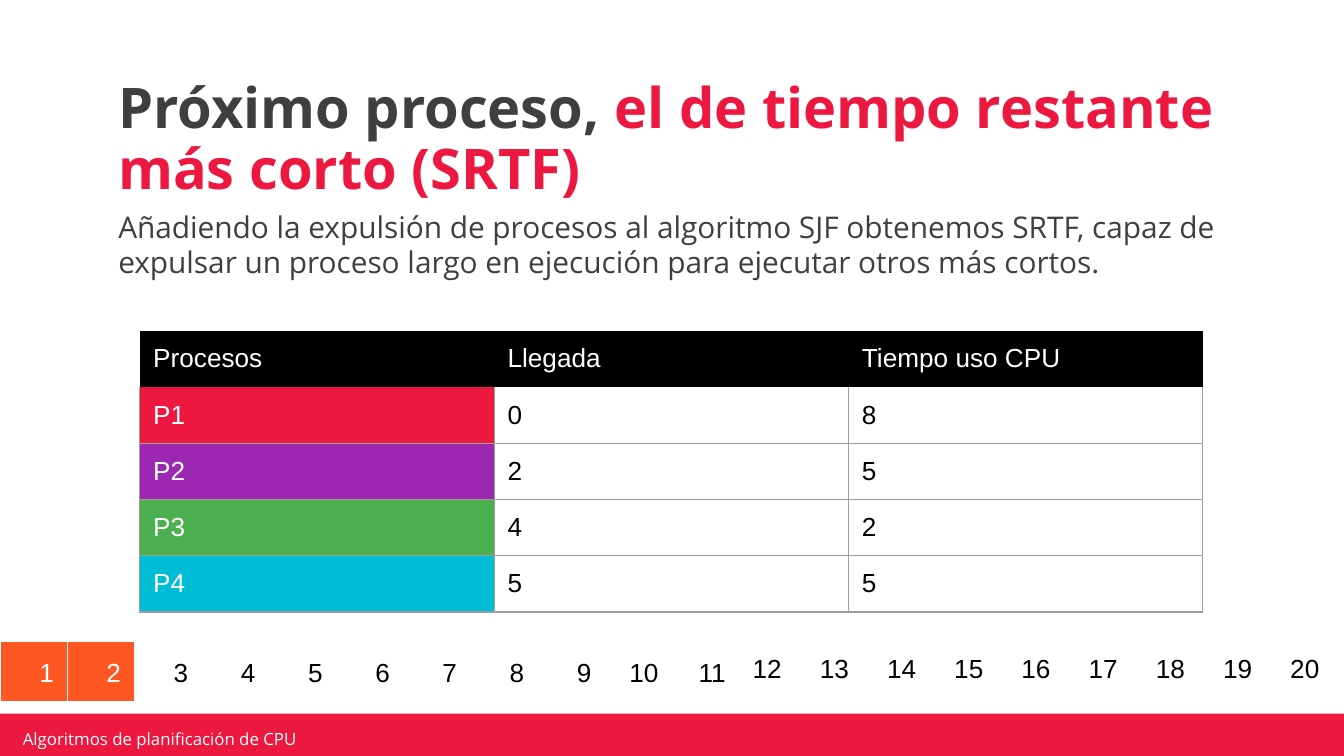
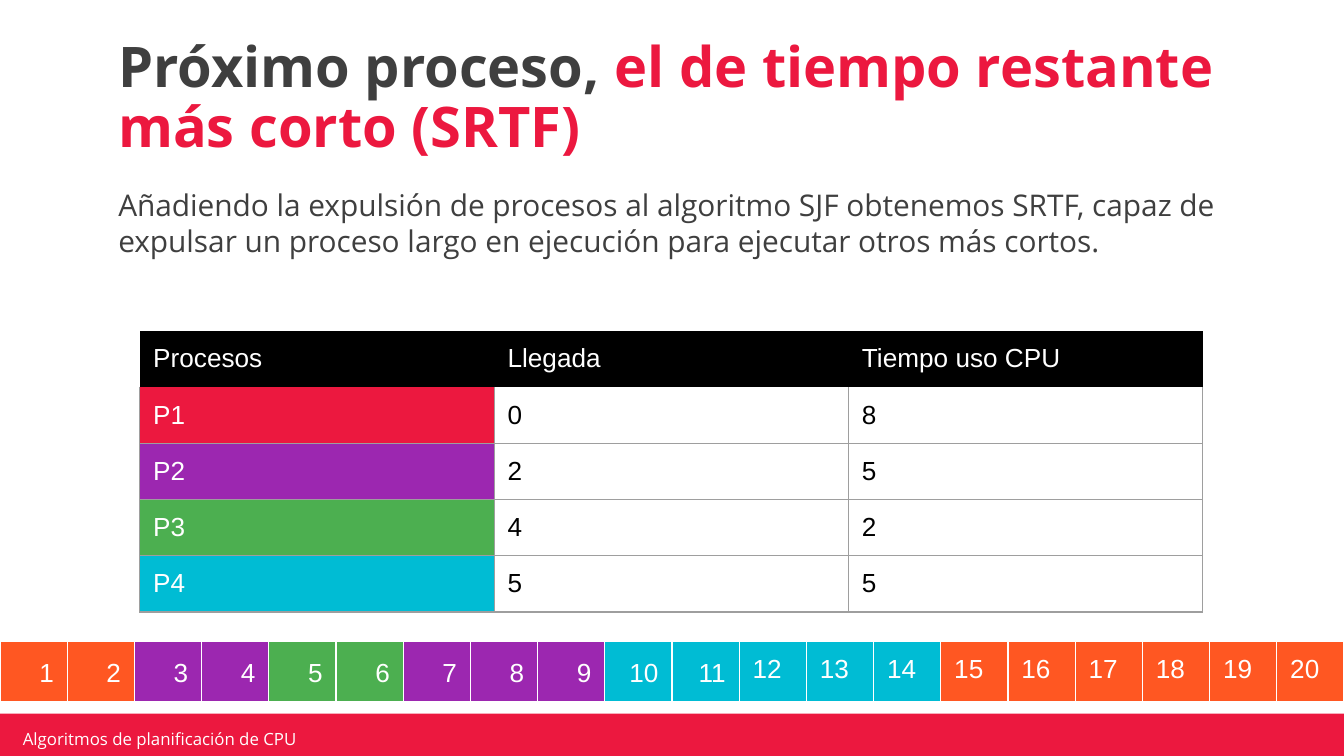
from lxml import etree
from pptx import Presentation
from pptx.dml.color import RGBColor
from pptx.enum.shapes import MSO_SHAPE
from pptx.enum.text import MSO_ANCHOR, MSO_AUTO_SIZE, PP_ALIGN
from pptx.oxml.ns import qn
from pptx.util import Inches, Pt

RECTANGLE = MSO_SHAPE.RECTANGLE
TOP, MIDDLE, BOTTOM = MSO_ANCHOR.TOP, MSO_ANCHOR.MIDDLE, MSO_ANCHOR.BOTTOM
LEFT, RIGHT = PP_ALIGN.LEFT, PP_ALIGN.RIGHT
NO_AUTOFIT = MSO_AUTO_SIZE.NONE

SLIDE_WIDTH = 10
SLIDE_HEIGHT = SLIDE_WIDTH * 9 / 16
COLOURS = {
    "red": "EC183F", "purple": "9C27B0", "green": "4CAF50", "cyan": "00BCD4",
    "orange": "FF5722", "dark": "3F3F3F", "grey": "9E9E9E",
    "black": "000000", "white": "FFFFFF",
}
TITLE_FONT = {"name": "Open Sans", "size": Pt(30), "bold": True}
BODY_FONT = {"name": "Open Sans", "size": Pt(16)}
FOOTER_FONT = {"name": "Open Sans", "size": Pt(9)}
TABLE_FONT = {"name": "Arial", "size": Pt(14), "bold": False}

FOOTER = "Algoritmos de planificación de CPU"
TITLE = [("Próximo proceso, ", "dark"),
         ("el de tiempo restante más corto (SRTF)", "red")]
BODY = [("Añadiendo la expulsión de procesos al algoritmo SJF obtenemos SRTF, "
         "capaz de expulsar un proceso largo en ejecución para ejecutar otros "
         "más cortos. ", "dark")]
HEADINGS = ["Procesos", "Llegada", "Tiempo uso CPU"]
PROCESSES = [("P1", 0, 8, "red"), ("P2", 2, 5, "purple"),
             ("P3", 4, 2, "green"), ("P4", 5, 5, "cyan")]
TICKS = 20
RIGHT_ALIGNED_TICKS = 11
PROCESS_BOX = (1.04, 2.46, 7.91, 2.09)
TIMELINE_BOX = (0, 4.77, SLIDE_WIDTH, 0.21)

# Each slide: title box, body box, and the runs of the timeline (colour, ticks).
SLIDES = [
    ((0.78, 0.68, 8.43, 0.92), (0.78, 1.45, 8.43, 0.92),
     [("orange", 2), ("white", 18)]),
    ((0.78, 0.6, 8.43, 0.69), (0.78, 1.29, 8.43, 1.53),
     [("orange", 2), ("purple", 2), ("green", 2), ("purple", 3),
      ("cyan", 5), ("orange", 6)]),
]


def rgb(colour):
    """Return the named colour."""
    return RGBColor.from_string(COLOURS[colour])


def set_values(target, values):
    """Set several attributes of an object."""
    for name, value in values.items():
        setattr(target, name, value)


def place(shape, box):
    """Move a shape to a box given in inches."""
    names = ("left", "top", "width", "height")
    set_values(shape, dict(zip(names, map(Inches, box))))


def set_margins(target, horizontal, vertical):
    """Set the inner margins of a text frame or a cell, in inches."""
    for side, size in (("left", horizontal), ("right", horizontal),
                       ("top", vertical), ("bottom", vertical)):
        setattr(target, f"margin_{side}", Inches(size))


def write(paragraph, runs, font, **paragraph_values):
    """Add (text, colour) runs to a paragraph and format it."""
    set_values(paragraph, paragraph_values)
    for text, colour in runs:
        run = paragraph.add_run()
        run.text = text
        set_values(run.font, font)
        run.font.color.rgb = rgb(colour)


def add_footer(slide, layout):
    """Draw the footer band and its label, then hand them to the layout."""
    band = slide.shapes.add_shape(RECTANGLE, 0, 0, 0, 0)
    place(band, (-0.02, 5.31, 10.03, 0.36))
    band.shadow.inherit = False
    band.fill.solid()
    band.fill.fore_color.rgb = rgb("red")
    band.line.fill.background()
    label = slide.shapes.add_textbox(0, 0, 0, 0)
    place(label, (0.12, 5.42, 2.39, 0.15))
    set_values(label.text_frame, {"word_wrap": True, "vertical_anchor": MIDDLE})
    set_margins(label.text_frame, 0.05, 0.02)
    write(label.text_frame.paragraphs[0], [(FOOTER, "white")], FOOTER_FONT)
    for shape in (band, label):
        layout.shapes.element.append(shape.element)


def fill_placeholder(shape, box, runs, font, anchor, **paragraph_values):
    """Place a placeholder and write one unbulleted paragraph in it."""
    place(shape, box)
    frame = shape.text_frame
    set_values(frame, {"word_wrap": True, "auto_size": NO_AUTOFIT,
                       "vertical_anchor": anchor})
    set_margins(frame, 0.1, 0.1)
    paragraph = frame.paragraphs[0]
    write(paragraph, runs, font, alignment=LEFT, **paragraph_values)
    properties = paragraph._p.get_or_add_pPr()
    properties.set("marL", "0")
    properties.set("indent", "0")
    etree.SubElement(properties, qn("a:buNone"))


def set_borders(cell, colours):
    """Draw cell borders from a dict of side and colour; None hides a side."""
    properties = cell._tc.get_or_add_tcPr()
    for side in "LRTB":
        line = etree.SubElement(properties, qn(f"a:ln{side}"), w=str(Pt(0.75)))
        if colours[side]:
            fill = etree.SubElement(line, qn("a:solidFill"))
            etree.SubElement(fill, qn("a:srgbClr"), val=COLOURS[colours[side]])
        else:
            etree.SubElement(line, qn("a:noFill"))


def format_cell(cell, text, colour, fill, borders, **paragraph_values):
    """Write a cell and set its borders and fill."""
    set_borders(cell, borders)
    if fill:
        cell.fill.solid()
        cell.fill.fore_color.rgb = rgb(fill)
    else:
        cell.fill.background()
    cell.vertical_anchor = TOP
    set_margins(cell, 0.1, 0.1)
    write(cell.text_frame.paragraphs[0], [(str(text), colour)], TABLE_FONT,
          **paragraph_values)


def add_plain_table(slide, box, rows, columns):
    """Add a table with equal columns and no banding."""
    table = slide.shapes.add_table(rows, columns, *map(Inches, box)).table
    set_values(table, {"first_row": False, "horz_banding": False})
    return table


def add_process_table(slide, box):
    """Add the table of processes, arrival and CPU time."""
    table = add_plain_table(slide, box, len(PROCESSES) + 1, len(HEADINGS))
    for column, heading in enumerate(HEADINGS):
        format_cell(table.cell(0, column), heading, "white", "black",
                    dict.fromkeys("LRTB"))
    for row, (*values, process_colour) in enumerate(PROCESSES, start=1):
        borders = dict.fromkeys("LRTB", "grey")
        if row == 1:
            borders["T"] = None
        for column, value in enumerate(values):
            colour, fill = ("black", None) if column else ("white", process_colour)
            format_cell(table.cell(row, column), value, colour, fill, borders)


def add_timeline(slide, box, spans):
    """Add one row of CPU ticks coloured by the running process."""
    table = add_plain_table(slide, box, 1, TICKS)
    fills = [colour for colour, length in spans for _ in range(length)]
    for index, fill in enumerate(fills):
        layout = {"alignment": LEFT}
        if index < RIGHT_ALIGNED_TICKS:
            layout = {"alignment": RIGHT, "line_spacing": 1.15}
        format_cell(table.cell(0, index), index + 1,
                    "black" if fill == "white" else "white", fill,
                    dict.fromkeys("LRTB", "white"), **layout)


def add_algorithm_slide(presentation, layout, title_box, body_box, spans):
    """Add a slide with title, explanation, process table and timeline."""
    slide = presentation.slides.add_slide(layout)
    fill_placeholder(slide.shapes.title, title_box, TITLE, TITLE_FONT, BOTTOM,
                     line_spacing=0.9)
    fill_placeholder(slide.placeholders[1], body_box, BODY, BODY_FONT, TOP,
                     space_before=Pt(6))
    add_process_table(slide, PROCESS_BOX)
    add_timeline(slide, TIMELINE_BOX, spans)
    return slide


def main():
    """Build and save the presentation."""
    presentation = Presentation()
    set_values(presentation, {"slide_width": Inches(SLIDE_WIDTH),
                              "slide_height": Inches(SLIDE_HEIGHT)})
    layout = presentation.slide_layouts[1]
    slides = [add_algorithm_slide(presentation, layout, *content)
              for content in SLIDES]
    add_footer(slides[0], layout)
    presentation.save("out.pptx")


main()
